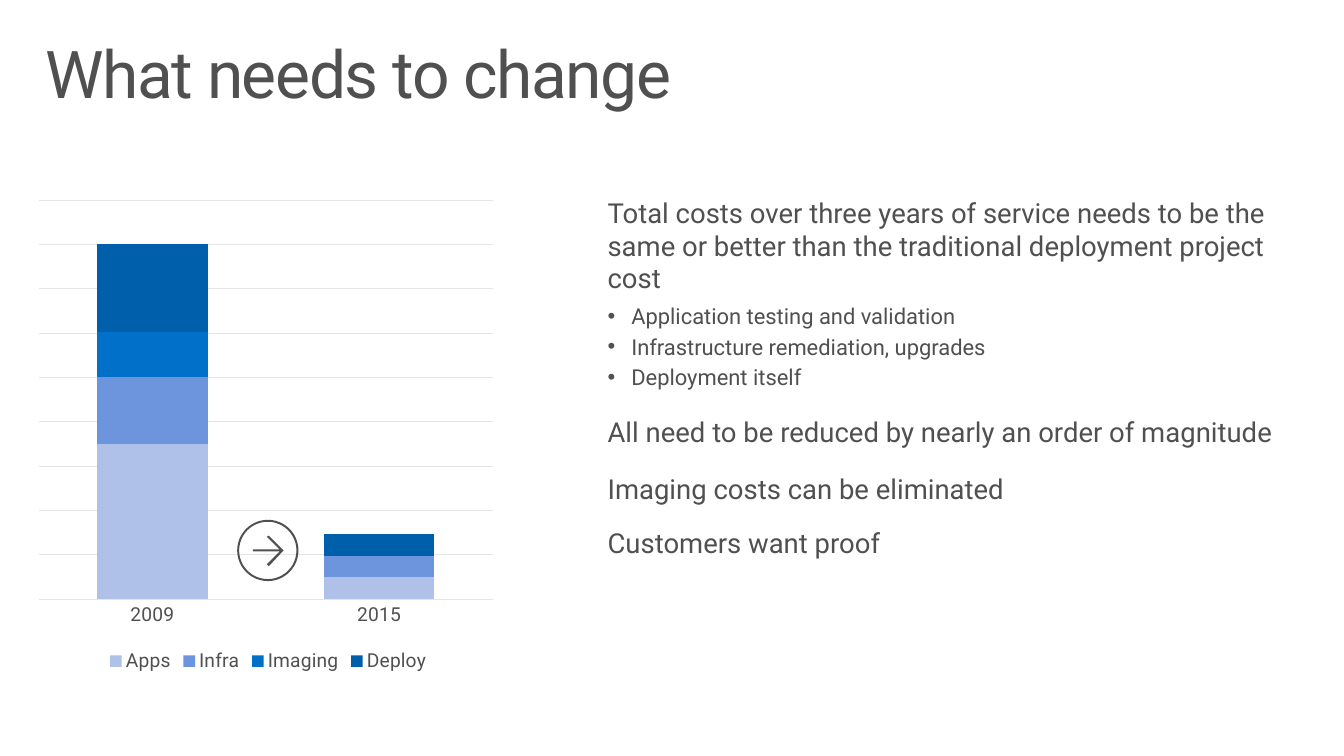
from lxml import etree
from pptx import Presentation
from pptx.chart.data import CategoryChartData
from pptx.dml.color import RGBColor
from pptx.enum.chart import XL_CHART_TYPE, XL_LEGEND_POSITION, XL_TICK_LABEL_POSITION, XL_TICK_MARK
from pptx.enum.shapes import MSO_SHAPE
from pptx.enum.text import MSO_ANCHOR, PP_ALIGN
from pptx.oxml import parse_xml
from pptx.oxml.ns import nsdecls, qn
from pptx.util import Inches, Pt

STACKED = XL_CHART_TYPE.COLUMN_STACKED
BOTTOM = XL_LEGEND_POSITION.BOTTOM
NO_TICK = XL_TICK_MARK.NONE
NO_LABELS = XL_TICK_LABEL_POSITION.NONE
DONUT = MSO_SHAPE.DONUT
TOP = MSO_ANCHOR.TOP
LEFT = PP_ALIGN.LEFT

FONT = "Roboto"
COLORS = {"text": "505050", "grid": "E5E5E5", "Apps": "AFC0E9", "Infra": "6C95DD",
          "Imaging": "0070C9", "Deploy": "005FAA"}
TITLE = "What needs to change"
YEARS = ["2009", "2015"]
COSTS = {"Apps": (100, 14), "Infra": (43, 14), "Imaging": (29, 0), "Deploy": (57, 14)}
GRID_STEP, GRID_ROWS = 28.57, 9
POINTS = [
    ("Total costs over three years of service needs to be the same or better than "
     "the traditional deployment project cost", 0, 6, 1),
    ("Application testing and validation", 1, 3, 1),
    ("Infrastructure remediation, upgrades", 1, 3, 1),
    ("Deployment itself", 1, 18, 1),
    ("All need to be reduced by nearly an order of magnitude", 0, 18, 1),
    ("Imaging costs can be eliminated", 0, 18, 1),
    ("Customers want proof", 0, 18, 0.9),
]
SIZES = [20, 16]
WIDTH, HEIGHT = 13.6, 7.65
MARGIN, CONTENT_TOP = 0.3, 1.93
PLOT_SHARES = {"x": 0.02, "y": 0.02, "w": 0.95, "h": 0.82}
RING_CENTER, RING_SIZE, RING_BAND = (2.71, 5.57), 0.62, 0.02
ARROW = [(-0.01, -0.14), (0.12, -0.01), (-0.15, -0.01), (-0.15, 0.01), (0.12, 0.01),
         (-0.01, 0.14), (0.01, 0.16), (0.16, 0), (0.01, -0.15)]


def color(name):
    return RGBColor.from_string(COLORS[name])


def style(font, size):
    font.name, font.size = FONT, Pt(size)
    font.color.rgb = color("text")


def place(shape, left, top, width, height):
    shape.left, shape.top = Inches(left), Inches(top)
    shape.width, shape.height = Inches(width), Inches(height)


def add_title(slide):
    box = slide.shapes.title
    place(box, MARGIN, 0.32, WIDTH - 2 * MARGIN, 1)
    frame = box.text_frame
    frame.word_wrap, frame.vertical_anchor = True, TOP
    frame.margin_left = frame.margin_right = Inches(0.16)
    frame.margin_top = frame.margin_bottom = Inches(0.1)
    para = frame.paragraphs[0]
    para.alignment, para.line_spacing = LEFT, 0.9
    span = para.add_run()
    span.text = TITLE
    style(span.font, 48)
    span.font._element.set("spc", "-100")


def add_cost_chart(slide):
    data = CategoryChartData()
    data.categories = YEARS
    for name, values in COSTS.items():
        data.add_series(name, values)
    chart = slide.shapes.add_chart(STACKED, Inches(MARGIN), Inches(CONTENT_TOP),
                                   Inches(4.83), Inches(4.92), data).chart
    style(chart.font, 10)
    chart.has_title = False
    chart.has_legend = True
    chart.legend.position = BOTTOM
    chart.legend.include_in_layout = False
    style(chart.legend.font, 14)

    plot = chart.plots[0]
    plot.gap_width, plot.overlap, plot.vary_by_categories = 105, 100, False
    for series in plot.series:
        series.format.fill.solid()
        series.format.fill.fore_color.rgb = color(series.name)

    years, costs = chart.category_axis, chart.value_axis
    years.major_tick_mark = years.minor_tick_mark = NO_TICK
    style(years.tick_labels.font, 14)
    costs.minimum_scale, costs.maximum_scale = 0, GRID_STEP * GRID_ROWS
    costs.major_unit = GRID_STEP
    costs.has_major_gridlines = True
    costs.tick_label_position = NO_LABELS
    costs.visible = False
    for line in (years.format.line, costs.major_gridlines.format.line):
        line.color.rgb = color("grid")
        line.width = Pt(0.75)

    shares = "".join(f'<c:{key} val="{share}"/>' for key, share in PLOT_SHARES.items())
    layout = parse_xml(
        f'<c:layout {nsdecls("c")}><c:manualLayout><c:layoutTarget val="inner"/>'
        f'<c:xMode val="edge"/><c:yMode val="edge"/>{shares}</c:manualLayout></c:layout>')
    area = chart._chartSpace.chart.plotArea
    for old in area.findall(qn("c:layout")):
        area.remove(old)
    area.insert(0, layout)


def add_points(slide):
    box = slide.shapes.add_textbox(Inches(6.05), Inches(CONTENT_TOP), Inches(7.07), Inches(3.48))
    frame = box.text_frame
    frame.word_wrap = True
    for index, (text, level, after, spacing) in enumerate(POINTS):
        para = frame.add_paragraph() if index else frame.paragraphs[0]
        para.level, para.line_spacing, para.space_after = level, spacing, Pt(after)
        if level:
            properties = para._p.get_or_add_pPr()
            properties.set("marL", str(Inches(0.24)))
            properties.set("indent", str(-Inches(0.24)))
            etree.SubElement(properties, qn("a:buFont")).set("typeface", "Arial")
            etree.SubElement(properties, qn("a:buChar")).set("char", "•")
        span = para.add_run()
        span.text = text
        style(span.font, SIZES[level])


def add_arrow_icon(slide):
    center_x, center_y = RING_CENTER
    icon = slide.shapes.add_group_shape()
    outline = [(Inches(center_x + x), Inches(center_y + y)) for x, y in ARROW]
    builder = icon.shapes.build_freeform(*outline[0])
    builder.add_line_segments(outline[1:], close=True)
    arrow = builder.convert_to_shape()
    ring = icon.shapes.add_shape(DONUT, Inches(center_x - RING_SIZE / 2),
                                 Inches(center_y - RING_SIZE / 2),
                                 Inches(RING_SIZE), Inches(RING_SIZE))
    ring.adjustments[0] = RING_BAND / RING_SIZE
    for part in (arrow, ring):
        part.shadow.inherit = False
        part.fill.solid()
        part.fill.fore_color.rgb = color("text")
        part.line.fill.background()


def main():
    deck = Presentation()
    deck.slide_width, deck.slide_height = Inches(WIDTH), Inches(HEIGHT)
    slide = deck.slides.add_slide(deck.slide_layouts[5])
    add_title(slide)
    add_cost_chart(slide)
    add_points(slide)
    add_arrow_icon(slide)
    deck.save("out.pptx")


if __name__ == "__main__":
    main()
